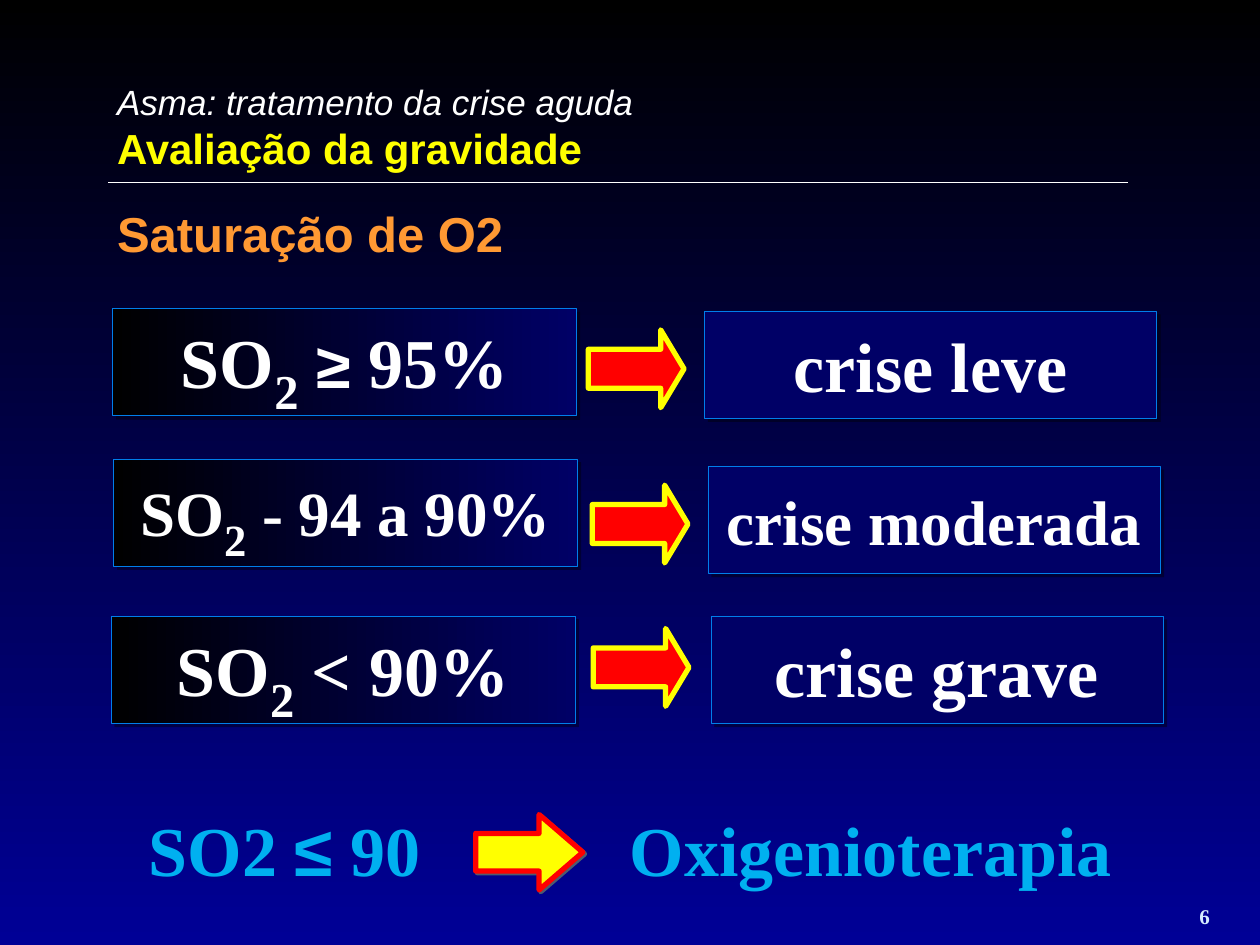
import pptx
import pptx.dml.color
import pptx.enum.shapes
import pptx.enum.text
import pptx.oxml.ns
import pptx.util
from lxml import etree

Cm, Pt = pptx.util.Cm, pptx.util.Pt
RGB = pptx.dml.color.RGBColor
SHAPES = pptx.enum.shapes.MSO_SHAPE
ALIGN = pptx.enum.text.PP_ALIGN
ANCHOR = pptx.enum.text.MSO_ANCHOR
qn = pptx.oxml.ns.qn

BLACK, WHITE = RGB(0, 0, 0), RGB(255, 255, 255)
NIGHT, NAVY = RGB(0, 0, 0x96), RGB(0, 0, 0x66)
EDGE, SKY, PALE = RGB(0, 0x7E, 0xEA), RGB(0, 0xB0, 0xF0), RGB(0xD6, 0xEC, 0xFF)
YELLOW, RED, ORANGE = RGB(255, 255, 0), RGB(255, 0, 0), RGB(255, 0x99, 0x33)
SLATE = RGB(0x4E, 0x5B, 0x6F)
SANS, SERIF = "Arial", "Times New Roman"


def style(size, color, name=SERIF, bold=True, italic=False):
    return {"size": Pt(size), "color": color, "name": name, "bold": bold, "italic": italic}


# Content: a paragraph is a list of (text, format, baseline in percent)
LARGE, MEDIUM = style(40, WHITE), style(36, WHITE)
NOTE = style(40, SKY)
HEADER = [
    [("Asma: tratamento da crise aguda", style(20, WHITE, SANS, False, True), 0)],
    [("Avaliação da gravidade", style(24, YELLOW, SANS), 0)],
]
SUBTITLE = [[("Saturação de O2", style(28, ORANGE, SANS), 0)]]
CONCLUSION = [[("SO2 ", NOTE, 0), ("≤", style(40, SKY, SANS), 0),
               (" 90\tOxigenioterapia", NOTE, 0)]]
NUMBER = [[("6", style(12, PALE), 0)]]

# Each row: saturation runs, severity runs, then (left, top) of box, arrow, box
ROWS = [
    ([("SO", LARGE, 0), ("2", style(48, WHITE), -25), (" ", LARGE, 0),
      ("≥", style(36, WHITE, SANS), 0), (" 95%", LARGE, 0)],
     [("crise leve", LARGE, 0)], (2.27, 6.22), (11.86, 6.65), (14.2, 6.27)),
    ([("SO", MEDIUM, 0), ("2", style(44, WHITE), -25), (" - 94 a 90%", MEDIUM, 0)],
     [("crise moderada", MEDIUM, 0)], (2.29, 9.25), (11.94, 9.78), (14.27, 9.4)),
    ([("SO", LARGE, 0), ("2", style(48, WHITE), -25), (" < 90%", LARGE, 0)],
     [("crise grave", LARGE, 0)], (2.24, 12.42), (11.96, 12.67), (14.33, 12.42)),
]
SATURATION_SIZE, SEVERITY_SIZE, ARROW_SIZE = (9.35, 2.16), (9.12, 2.16), (1.93, 1.57)


def write(shape, paragraphs, align=ALIGN.LEFT, anchor=ANCHOR.MIDDLE):
    frame = shape.text_frame
    frame.word_wrap = True
    frame.vertical_anchor = anchor
    for index, runs in enumerate(paragraphs):
        paragraph = frame.add_paragraph() if index else frame.paragraphs[0]
        paragraph.alignment = align
        for text, formats, baseline in runs:
            run = paragraph.add_run()
            run.text = text
            for key, value in formats.items():
                if key == "color":
                    run.font.color.rgb = value
                else:
                    setattr(run.font, key, value)
            if baseline:
                run.font._element.set("baseline", str(baseline * 1000))


def add_text(slide, place, paragraphs, **options):
    box = slide.shapes.add_textbox(*map(Cm, place))
    write(box, paragraphs, **options)
    return box


def paint_gradient(fill, colors, angle):
    fill.gradient()
    fill.gradient_angle = angle
    for stop, color in zip(fill.gradient_stops, colors):
        stop.color.rgb = color


def add_shape(slide, kind, place, fill, edge, width):
    shape = slide.shapes.add_shape(kind, *map(Cm, place))
    if isinstance(fill, list):
        paint_gradient(shape.fill, fill, 0)
    else:
        shape.fill.solid()
        shape.fill.fore_color.rgb = fill
    shape.line.color.rgb = edge
    shape.line.width = Pt(width)
    shape.shadow.inherit = False
    return shape


def cast_shadow(shape, color, opacity, distance):
    effects = shape._element.spPr.find(qn("a:effectLst"))
    shadow = etree.SubElement(effects, qn("a:outerShdw"), blurRad="0",
                              dist=str(Pt(distance)), dir=str(45 * 60000),
                              algn="ctr", rotWithShape="0")
    tint = etree.SubElement(shadow, qn("a:srgbClr"), val=str(color))
    etree.SubElement(tint, qn("a:alpha"), val=str(opacity * 1000))


def add_panel(slide, place, runs, fill):
    panel = add_shape(slide, SHAPES.RECTANGLE, place, fill, EDGE, 0.25)
    cast_shadow(panel, BLACK, 40, 3)
    write(panel, [runs], align=ALIGN.CENTER)


def main():
    presentation = pptx.Presentation()
    presentation.slide_width, presentation.slide_height = Cm(25.4), Cm(19.05)
    slide = presentation.slides.add_slide(presentation.slide_layouts[6])
    paint_gradient(slide.background.fill, [BLACK, NIGHT], 270)

    # Heading and rule
    add_text(slide, (2.11, 1.5, 13.87, 2.13), HEADER, anchor=ANCHOR.TOP)
    rule = slide.shapes.add_connector(pptx.enum.shapes.MSO_CONNECTOR.STRAIGHT,
                                      Cm(2.18), Cm(3.68), Cm(22.73), Cm(3.68))
    rule.line.color.rgb = WHITE
    rule.line.width = Pt(0.75)
    etree.SubElement(rule._element.spPr, qn("a:effectLst"))
    add_text(slide, (2.11, 3.84, 9.3, 1.7), SUBTITLE)

    # Saturation, arrow, severity
    for saturation, severity, left_at, arrow_at, right_at in ROWS:
        add_panel(slide, left_at + SATURATION_SIZE, saturation, [BLACK, NAVY])
        add_panel(slide, right_at + SEVERITY_SIZE, severity, NAVY)
        arrow = add_shape(slide, SHAPES.RIGHT_ARROW, arrow_at + ARROW_SIZE, RED, YELLOW, 3)
        arrow.adjustments[0], arrow.adjustments[1] = 0.5, 0.3

    # Conclusion: a tab stop leaves room for the arrow
    conclusion = add_text(slide, (2.75, 16.13, 19.95, 1.96), CONCLUSION)
    properties = conclusion.text_frame.paragraphs[0]._p.get_or_add_pPr()
    tabs = etree.SubElement(properties, qn("a:tabLst"))
    etree.SubElement(tabs, qn("a:tab"), pos=str(Cm(9.7)), algn="l")
    arrow = add_shape(slide, SHAPES.DOWN_ARROW, (9.91, 16.1, 1.52, 2.16), YELLOW, RED, 3)
    arrow.rotation = 270
    arrow.adjustments[0], arrow.adjustments[1] = 0.5, 0.58
    cast_shadow(arrow, SLATE, 100, 1.4)

    # Slide number
    add_text(slide, (23.93, 17.83, 1.27, 1.02), NUMBER, anchor=ANCHOR.BOTTOM)
    presentation.save("out.pptx")


if __name__ == "__main__":
    main()
